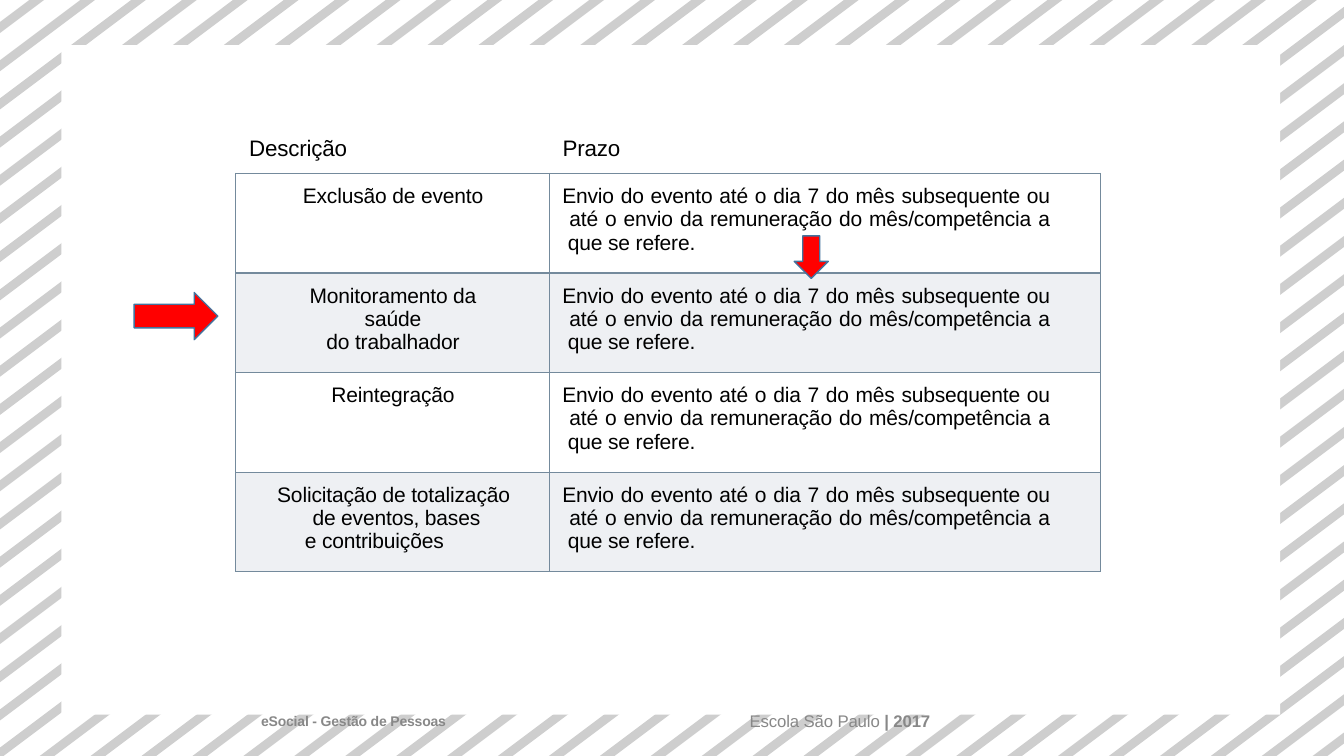
from lxml import etree
from pptx import Presentation
from pptx import util as u
from pptx.dml.color import RGBColor
from pptx.enum import shapes, text
from pptx.oxml.ns import qn

# Content; all lengths in centimetres
WIDTH, HEIGHT = 33.87, 19.05
COLORS = {"stripe": "CECECE", "white": "FFFFFF", "black": "000000", "footer": "888888",
          "border": "748A9C", "band": "ABB8C3", "arrow": "FF0000", "arrow_line": "43739E"}
FONT = "Arial"
DEADLINE = [["Envio do evento até o dia 7 do mês subsequente ou\v até o envio da ",
             "remuneração ", "do mês/competência a\v que se ", "refere."]]
# Each event: paragraphs made of runs, then (left, right) indents per paragraph
EVENTS = [
    ([["Exclusão ", "de ", "evento"]], [(0.03, 0)]),
    ([["Monitoramento ", "da"], ["saúde"], ["do ", "trabalhador"]], [(0.03, 0)] * 3),
    ([["Reintegração"]], [(0.03, 0)]),
    ([["Solicitação de ", "totalização\v ", "de eventos, bases"], ["e ", "contribuições"]],
     [(0.97, 0.91), (0.03, 0.94)]),
]
TABLE = {"left": 5.94, "top": 4.37, "columns": (7.9, 13.9), "row": 2.51}
# Box, runs as (text, bold), size, colour, alignment, line spacing, anchor, top inset
LABELS = [
    ((15.44, 17.91, 11.43, 0.51), [("Escola São Paulo ", False), ("| 2017", True)], 12, "footer",
     text.PP_ALIGN.CENTER, 14.2, text.MSO_ANCHOR.MIDDLE, 0),
    ((6.55, 17.96, 7.62, 0.43), [("eSocial - Gestão de Pessoas", True)], 10, "footer",
     text.PP_ALIGN.LEFT, None, text.MSO_ANCHOR.MIDDLE, 0),
    ((6.25, 3.35, 2.59, 0.71), [("Descrição", False)], 16, "black",
     text.PP_ALIGN.LEFT, None, text.MSO_ANCHOR.TOP, 0.03),
    ((14.15, 3.35, 1.55, 0.71), [("Prazo", False)], 16, "black",
     text.PP_ALIGN.LEFT, None, text.MSO_ANCHOR.TOP, 0.03),
]
ARROWS = [
    (shapes.MSO_SHAPE.RIGHT_ARROW, (3.38, 7.37, 2.11, 1.19), 0),
    (shapes.MSO_SHAPE.LEFT_ARROW, (19.91, 6.05, 1.07, 0.86), 270),
]
STRIPES = {"count": 46, "first": 1.11, "last": 58.85, "width": 0.37, "slope": 0.75}
PANEL = (1.55, 1.14, 30.71, 16.87)


def rgb(name):
    return RGBColor.from_string(COLORS[name])


def cm(values):
    return [u.Cm(value) for value in values]


def add_run(paragraph, words, size, color, bold=False):
    # A vertical tab in the words becomes a line break
    for index, part in enumerate(words.split("\v")):
        if index:
            paragraph.add_line_break()
        run = paragraph.add_run()
        run.text = part
        run.font.name, run.font.size, run.font.bold = FONT, u.Pt(size), bold
        run.font.color.rgb = rgb(color)
        run.font._element.set("spc", "-10")


def set_indent(paragraph, left, right=0):
    properties = paragraph._p.get_or_add_pPr()
    properties.set("marL", str(u.Cm(left)))
    properties.set("marR", str(u.Cm(right)))
    properties.set("indent", "0")


def paint(shape, fill, line=None):
    shape.shadow.inherit = False
    shape.fill.solid()
    shape.fill.fore_color.rgb = rgb(fill)
    if line:
        shape.line.color.rgb = rgb(line)
        shape.line.width = u.Pt(1)
    else:
        shape.line.fill.background()


def edge_ends(start):
    """Upper and lower ends of a diagonal that meets the slide's top line at start."""
    slope = STRIPES["slope"]
    upper = (min(start, WIDTH), max(0, (start - WIDTH) * slope))
    lower = (max(0, start - HEIGHT / slope), min(HEIGHT, start * slope))
    return upper, lower


def add_stripe(slide, right):
    left = right - STRIPES["width"]
    right_top, right_bottom = edge_ends(right)
    left_top, left_bottom = edge_ends(left)
    points = [right_top, left_top, left_bottom]
    if left < HEIGHT / STRIPES["slope"] < right:
        points.append((0, HEIGHT))
    points.append(right_bottom)
    points = [cm(point) for point in points]
    builder = slide.shapes.build_freeform(*points[0])
    builder.add_line_segments(points[1:], close=True)
    paint(builder.convert_to_shape(), "stripe")


def fill_cell(cell, paragraphs, indents, alignment, banded):
    cell.margin_left = cell.margin_right = cell.margin_bottom = 0
    cell.margin_top = u.Cm(0.28)
    frame = cell.text_frame
    for index, (runs, indent) in enumerate(zip(paragraphs, indents)):
        paragraph = frame.add_paragraph() if index else frame.paragraphs[0]
        paragraph.alignment = alignment
        set_indent(paragraph, *indent)
        for words in runs:
            add_run(paragraph, words, 15, "black")

    # Borders come before the fill in the cell properties
    properties = cell._tc.get_or_add_tcPr()
    for side in ("a:lnL", "a:lnR", "a:lnT", "a:lnB"):
        line = etree.SubElement(properties, qn(side), w=str(u.Pt(1)))
        solid = etree.SubElement(line, qn("a:solidFill"))
        etree.SubElement(solid, qn("a:srgbClr"), val=COLORS["border"])
    if banded:
        cell.fill.solid()
        cell.fill.fore_color.rgb = rgb("band")
        color = properties.find(qn("a:solidFill")).find(qn("a:srgbClr"))
        etree.SubElement(color, qn("a:alpha"), val="20000")
    else:
        cell.fill.background()


def add_deadline_table(slide):
    box = (TABLE["left"], TABLE["top"], sum(TABLE["columns"]), TABLE["row"] * len(EVENTS))
    table = slide.shapes.add_table(len(EVENTS), 2, *cm(box)).table
    table.first_row = table.horz_banding = False
    for column, width in zip(table.columns, TABLE["columns"]):
        column.width = u.Cm(width)
    for index, (event, indents) in enumerate(EVENTS):
        table.rows[index].height = u.Cm(TABLE["row"])
        banded = index % 2 == 1
        fill_cell(table.cell(index, 0), event, indents, text.PP_ALIGN.CENTER, banded)
        fill_cell(table.cell(index, 1), DEADLINE, [(0.33, 1.27)], text.PP_ALIGN.JUSTIFY, banded)


def add_label(slide, box, runs, size, color, alignment, spacing, anchor, inset):
    frame = slide.shapes.add_textbox(*cm(box)).text_frame
    frame.word_wrap = True
    frame.auto_size = text.MSO_AUTO_SIZE.SHAPE_TO_FIT_TEXT
    frame.vertical_anchor = anchor
    frame.margin_left = frame.margin_right = frame.margin_bottom = 0
    frame.margin_top = u.Cm(inset)
    paragraph = frame.paragraphs[0]
    paragraph.alignment = alignment
    set_indent(paragraph, 0.03)
    if spacing:
        paragraph.line_spacing = u.Pt(spacing)
    for words, bold in runs:
        add_run(paragraph, words, size, color, bold)


def main():
    presentation = Presentation()
    presentation.slide_width, presentation.slide_height = cm((WIDTH, HEIGHT))
    slide = presentation.slides.add_slide(presentation.slide_layouts[6])

    # Striped frame around a white panel
    step = (STRIPES["last"] - STRIPES["first"]) / (STRIPES["count"] - 1)
    for index in range(STRIPES["count"]):
        add_stripe(slide, STRIPES["first"] + index * step)
    paint(slide.shapes.add_shape(shapes.MSO_SHAPE.RECTANGLE, *cm(PANEL)), "white")

    # Table, headings and footer
    add_deadline_table(slide)
    for label in LABELS:
        add_label(slide, *label)

    # Arrows pointing at the highlighted row
    for kind, box, rotation in ARROWS:
        arrow = slide.shapes.add_shape(kind, *cm(box))
        arrow.rotation = rotation
        paint(arrow, "arrow", "arrow_line")

    presentation.save("out.pptx")


if __name__ == "__main__":
    main()
